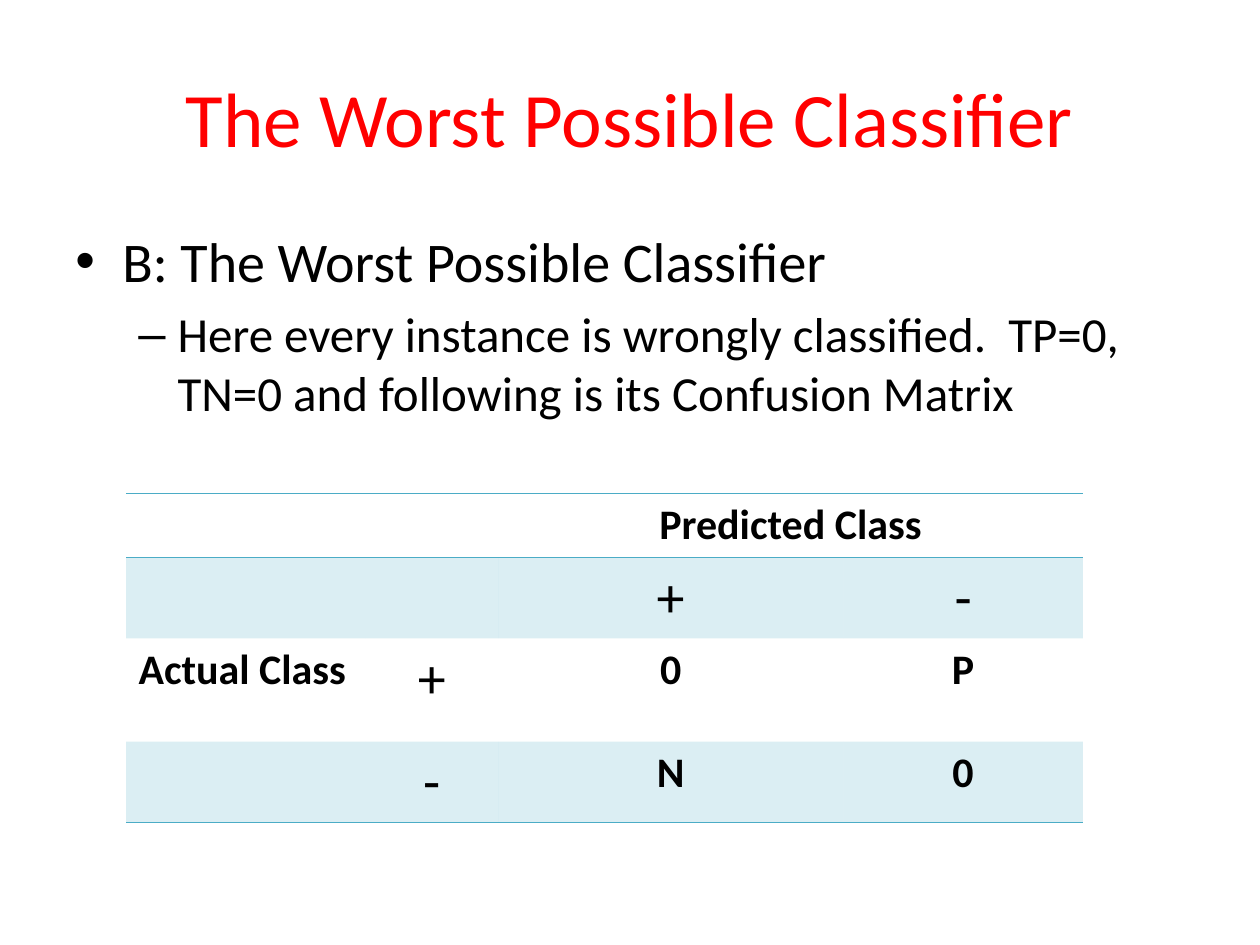
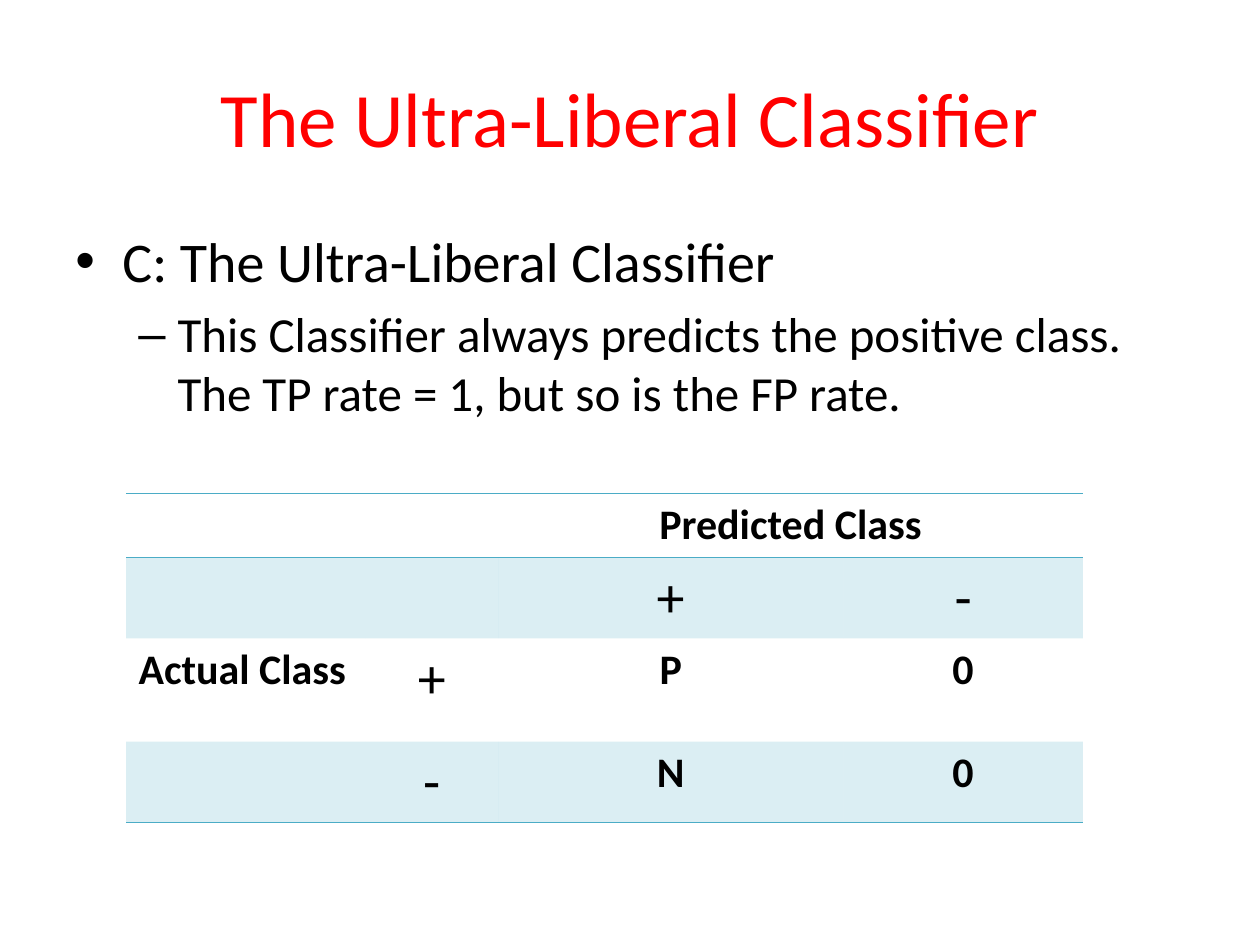
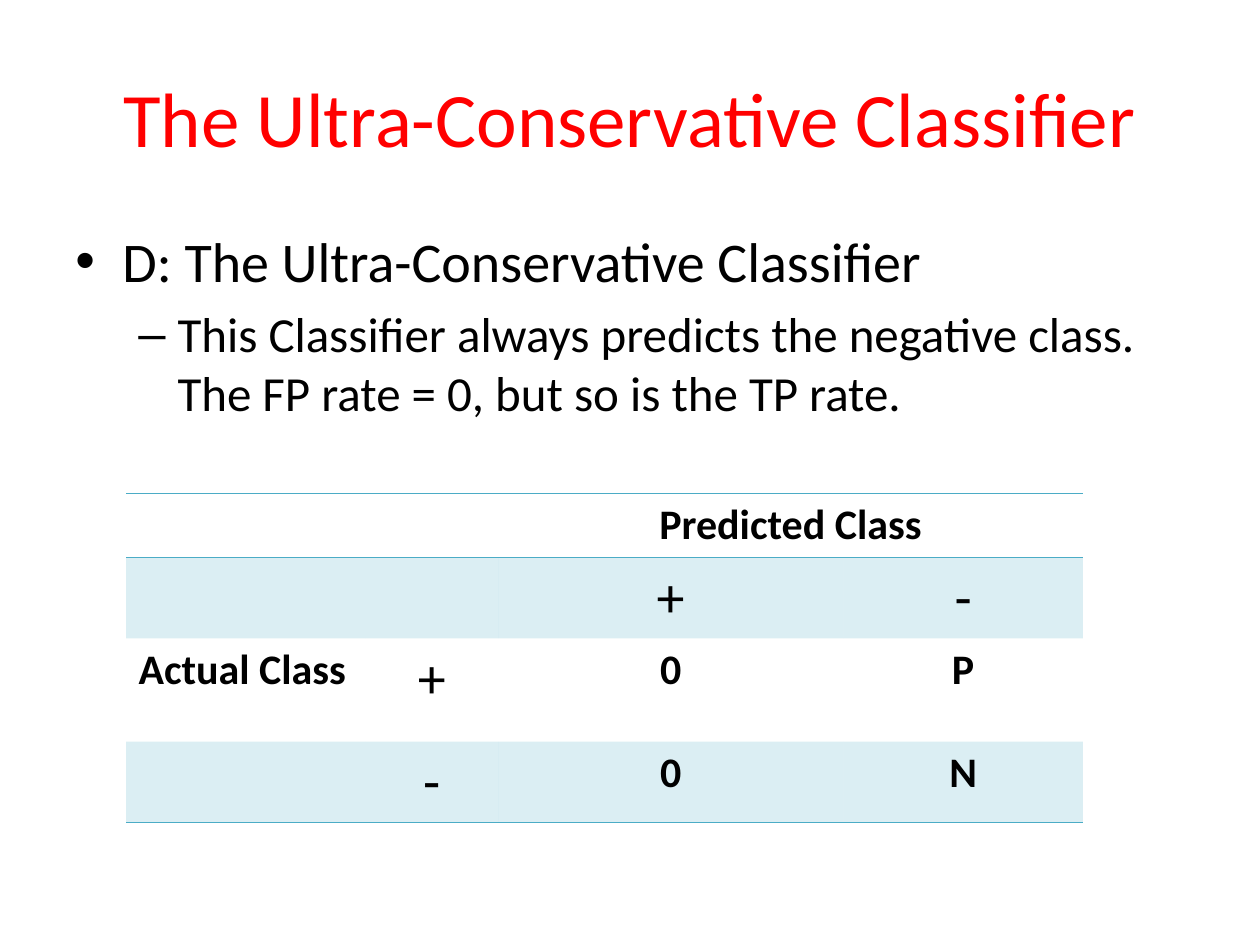
from lxml.etree import SubElement
from pptx import Presentation
from pptx.dml.color import RGBColor
from pptx.enum.text import MSO_ANCHOR, PP_ALIGN
from pptx.oxml.ns import qn
from pptx.util import Cm, Pt

RED = RGBColor(0xFF, 0x00, 0x00)
BLACK = RGBColor(0x00, 0x00, 0x00)
TEAL = RGBColor(0x4B, 0xAC, 0xC6)
FONT = "Calibri"
NO_STYLE_NO_GRID = "{2D5ABB26-0587-4C30-8999-92F81FD0307C}"

CLASSIFIERS = [
    {
        "letter": "B",
        "name": "The Worst Possible Classifier",
        "detail": "Here every instance is wrongly classified.  TP=0, TN=0 and "
                  "following is its Confusion Matrix",
        "matrix": [("0", "P"), ("N", "0")],
    },
    {
        "letter": "C",
        "name": "The Ultra-Liberal Classifier",
        "detail": "This Classifier always predicts the positive class. "
                  "The TP rate = 1, but so is the FP rate.",
        "matrix": [("P", "0"), ("N", "0")],
    },
    {
        "letter": "D",
        "name": "The Ultra-Conservative Classifier",
        "detail": "This Classifier always predicts the negative class. "
                  "The FP rate = 0, but so is the TP rate.",
        "matrix": [("0", "P"), ("0", "N")],
    },
]

TITLE_BOX = (Cm(1.27), Cm(0.76), Cm(22.86), Cm(3.18))
BODY_BOX = (Cm(1.27), Cm(4.45), Cm(22.86), Cm(12.57))
BULLET_LEVELS = [
    {"bullet": "•", "size": 32, "margin": Cm(0.95), "hanging": Cm(0.95)},
    {"bullet": "–", "size": 28, "margin": Cm(2.06), "hanging": Cm(0.79)},
]
TABLE_LEFT, TABLE_TOP = Cm(2.54), Cm(9.95)
COLUMN_WIDTHS = [Cm(4.83), Cm(2.67), Cm(6.96), Cm(4.83)]
ROW_HEIGHTS = [Cm(1.29), Cm(1.63), Cm(2.08), Cm(1.63)]
BORDERED_SIDES = {0: ("a:lnT", "a:lnB"), 3: ("a:lnB",)}
SHADED_ROWS = (1, 3)


def add_run(paragraph, text, size, color=BLACK, bold=False):
    run = paragraph.add_run()
    run.text = text
    run.font.name = FONT
    run.font.size = Pt(size)
    run.font.bold = bold
    run.font.color.rgb = color


def add_title(slide, text):
    title = slide.shapes.title
    title.left, title.top, title.width, title.height = TITLE_BOX
    title.text_frame.vertical_anchor = MSO_ANCHOR.MIDDLE
    paragraph = title.text_frame.paragraphs[0]
    paragraph.alignment = PP_ALIGN.CENTER
    add_run(paragraph, text, 44, RED)


def add_bullets(slide, texts):
    text_frame = slide.shapes.add_textbox(*BODY_BOX).text_frame
    text_frame.word_wrap = True
    for level, (text, style) in enumerate(zip(texts, BULLET_LEVELS)):
        paragraph = text_frame.add_paragraph() if level else text_frame.paragraphs[0]
        paragraph.level = level
        add_run(paragraph, text, style["size"])
        properties = paragraph._p.get_or_add_pPr()
        properties.set("marL", str(style["margin"]))
        properties.set("indent", str(-style["hanging"]))
        spacing = SubElement(properties, qn("a:spcBef"))
        SubElement(spacing, qn("a:spcPct"), val="20000")
        SubElement(properties, qn("a:buFont"), typeface="Arial")
        SubElement(properties, qn("a:buChar"), char=style["bullet"])


def format_cell(cell, row_index):
    properties = cell._tc.get_or_add_tcPr()
    for side in BORDERED_SIDES.get(row_index, ()):
        line = SubElement(properties, qn(side), w=str(Pt(1)))
        fill = SubElement(line, qn("a:solidFill"))
        SubElement(fill, qn("a:srgbClr"), val=str(TEAL))
    if row_index in SHADED_ROWS:
        cell.fill.solid()
        cell.fill.fore_color.rgb = TEAL
        color = next(properties.find(qn("a:solidFill")).iter(qn("a:srgbClr")))
        SubElement(color, qn("a:alpha"), val="20000")
    else:
        cell.fill.background()


def add_confusion_matrix(slide, matrix):
    rows = [
        ("", "", "Predicted Class", ""),
        ("", "", "+", "-"),
        ("Actual Class", "+", *matrix[0]),
        ("", "-", *matrix[1]),
    ]
    frame = slide.shapes.add_table(
        len(rows), len(COLUMN_WIDTHS), TABLE_LEFT, TABLE_TOP,
        sum(COLUMN_WIDTHS), sum(ROW_HEIGHTS))
    table = frame.table
    table.first_row = table.horz_banding = False
    next(frame.element.iter(qn("a:tableStyleId"))).text = NO_STYLE_NO_GRID
    for column, width in zip(table.columns, COLUMN_WIDTHS):
        column.width = width
    for row, height in zip(table.rows, ROW_HEIGHTS):
        row.height = height
    table.cell(0, 2).merge(table.cell(0, 3))
    for row_index, texts in enumerate(rows):
        for column_index, text in enumerate(texts):
            cell = table.cell(row_index, column_index)
            format_cell(cell, row_index)
            if text:
                is_sign = text in "+-"
                paragraph = cell.text_frame.paragraphs[0]
                paragraph.alignment = PP_ALIGN.CENTER if column_index else PP_ALIGN.LEFT
                add_run(paragraph, text, 32 if is_sign else 24, bold=not is_sign)


def main():
    presentation = Presentation()
    presentation.slide_width, presentation.slide_height = Cm(25.4), Cm(19.05)
    for classifier in CLASSIFIERS:
        slide = presentation.slides.add_slide(presentation.slide_layouts[5])
        add_title(slide, classifier["name"])
        heading = f"{classifier['letter']}: {classifier['name']}"
        add_bullets(slide, [heading, classifier["detail"]])
        add_confusion_matrix(slide, classifier["matrix"])
    presentation.save("out.pptx")


if __name__ == "__main__":
    main()
